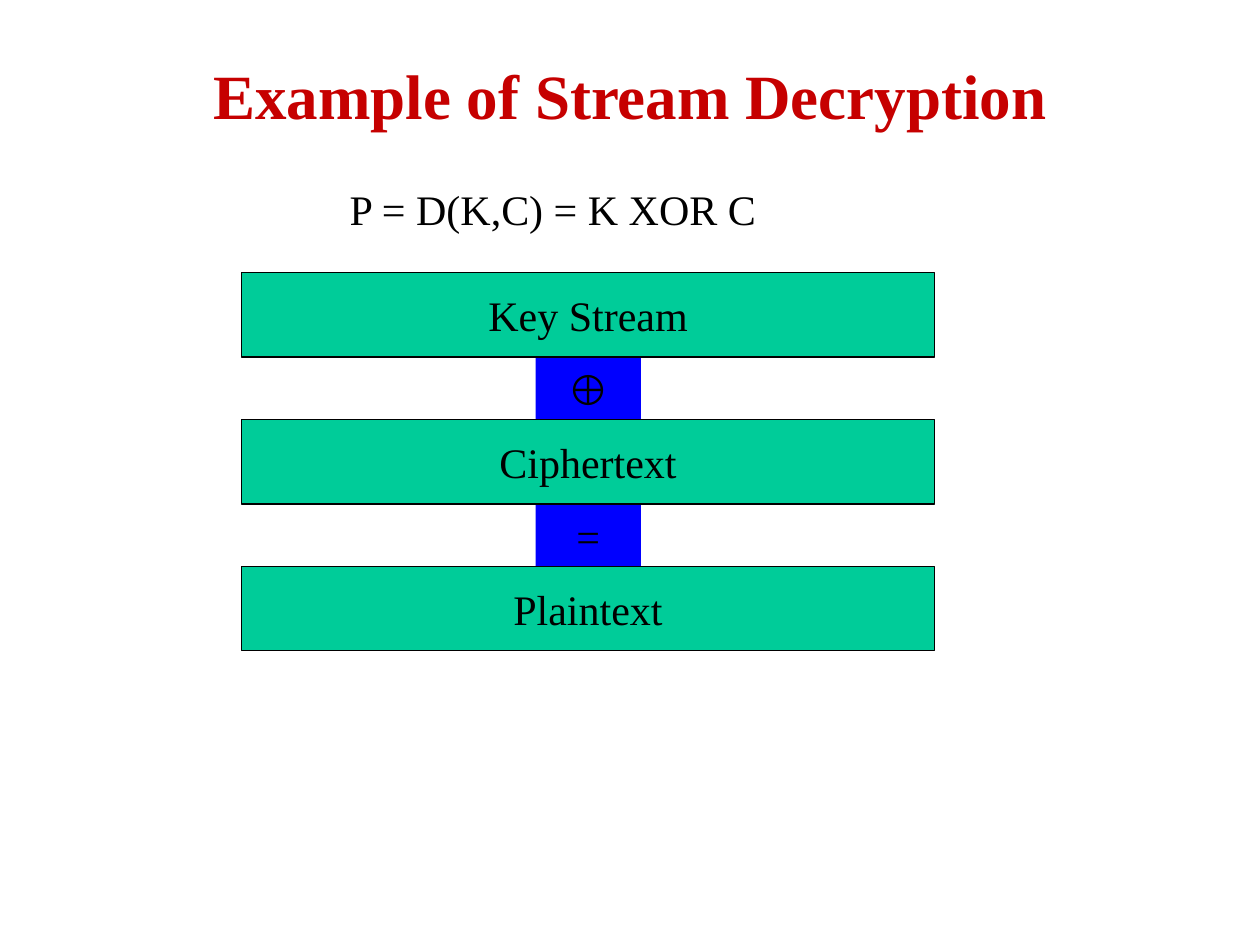
from pptx import Presentation
from pptx.dml.color import RGBColor
from pptx.enum.shapes import MSO_SHAPE
from pptx.enum.text import MSO_ANCHOR, PP_ALIGN
from pptx.util import Cm, Pt

RED = RGBColor(0xC6, 0x00, 0x00)
BLUE = RGBColor(0x00, 0x00, 0xFF)
GREEN = RGBColor(0x00, 0xCC, 0x99)
BLACK = RGBColor(0x00, 0x00, 0x00)
RECT = MSO_SHAPE.RECTANGLE
MIDDLE = MSO_ANCHOR.MIDDLE
CENTER, LEFT = PP_ALIGN.CENTER, PP_ALIGN.LEFT
SERIF, SANS = "Times New Roman", "Arial"

BAR_TOP, BAR_HEIGHT, BAR_PITCH = 5.5, 1.7, 2.96


def set_text(sp, text, align=CENTER, size=24, color=BLACK, font=SERIF, bold=False):
    tf = sp.text_frame
    tf.text = text
    tf.word_wrap = False
    p = tf.paragraphs[0]
    p.alignment = align
    r = p.runs[0]
    r.font.name = font
    r.font.size = Pt(size)
    r.font.bold = bold
    r.font.color.rgb = color


def add_block(left, top, width, height, fill, text, font=SERIF):
    sp = s.shapes.add_shape(RECT, Cm(left), Cm(top), Cm(width), Cm(height))
    sp.shadow.inherit = False
    sp.fill.solid()
    sp.fill.fore_color.rgb = fill
    sp.line.fill.background()
    sp.text_frame.vertical_anchor = MIDDLE
    set_text(sp, text, font=font)
    return sp


prs = Presentation()
prs.slide_width = Cm(25.4)
prs.slide_height = Cm(19.05)
s = prs.slides.add_slide(prs.slide_layouts[6])

title = s.shapes.add_textbox(Cm(1.9), Cm(0.85), Cm(21.6), Cm(2.1))
title.text_frame.vertical_anchor = MIDDLE
set_text(title, "Example of Stream Decryption", size=36, color=RED, bold=True)
title.text_frame.word_wrap = True

for i, (symbol, font) in enumerate([("⊕", SANS), ("=", SERIF)]):
    top = BAR_TOP + i * BAR_PITCH + BAR_HEIGHT
    add_block(10.8, top, 2.12, BAR_PITCH - BAR_HEIGHT, BLUE, symbol, font)

for i, label in enumerate(["Key Stream", "Ciphertext", "Plaintext"]):
    bar = add_block(4.87, BAR_TOP + i * BAR_PITCH, 13.97, BAR_HEIGHT, GREEN, label)
    bar.line.color.rgb = BLACK
    bar.line.width = Pt(0.75)

formula = s.shapes.add_textbox(Cm(6.8), Cm(3.58), Cm(8.74), Cm(1.27))
set_text(formula, "P = D(K,C) = K XOR C", align=LEFT)

prs.save("out.pptx")
